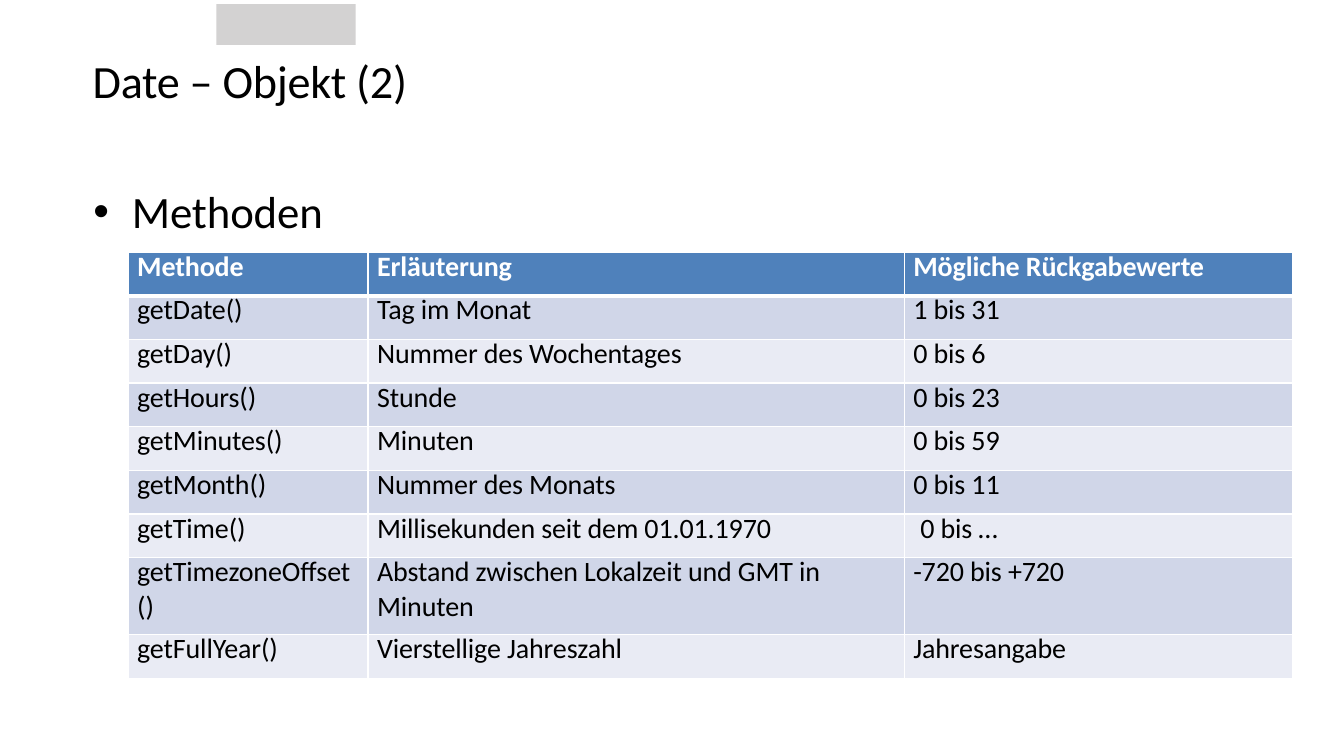
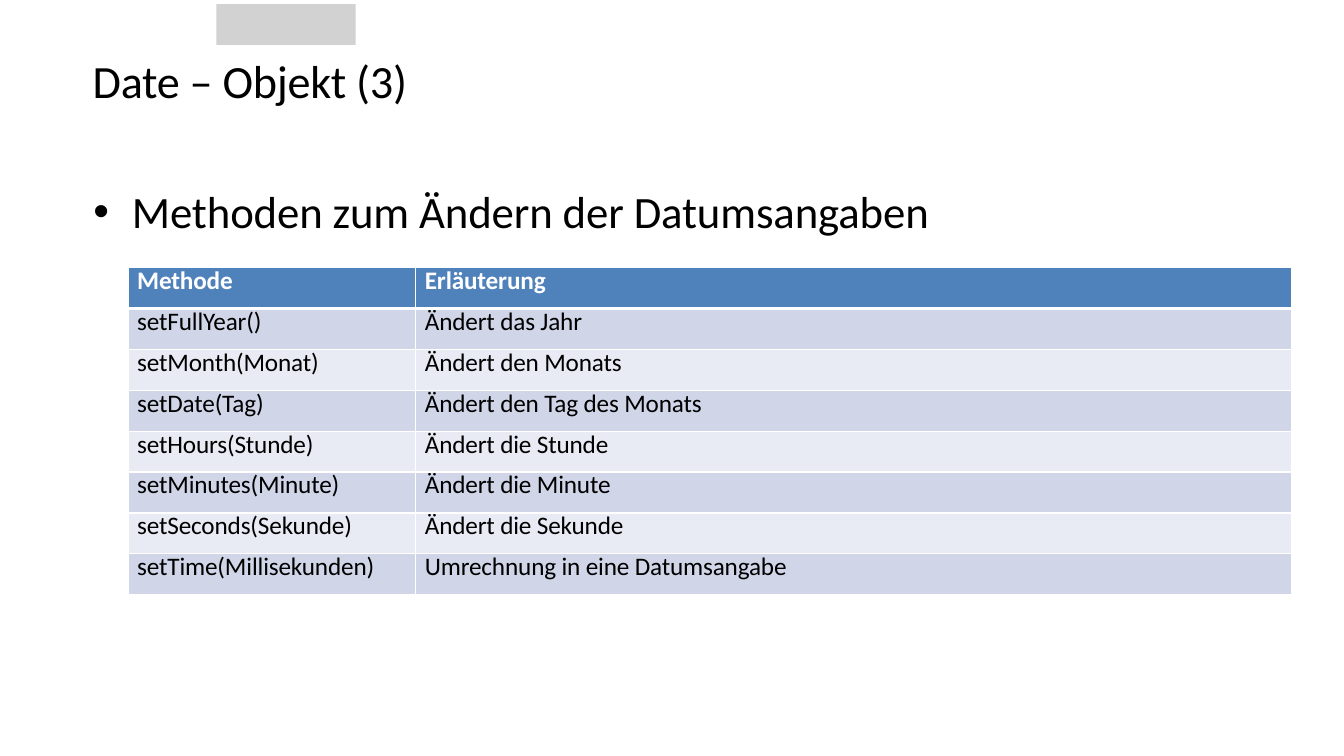
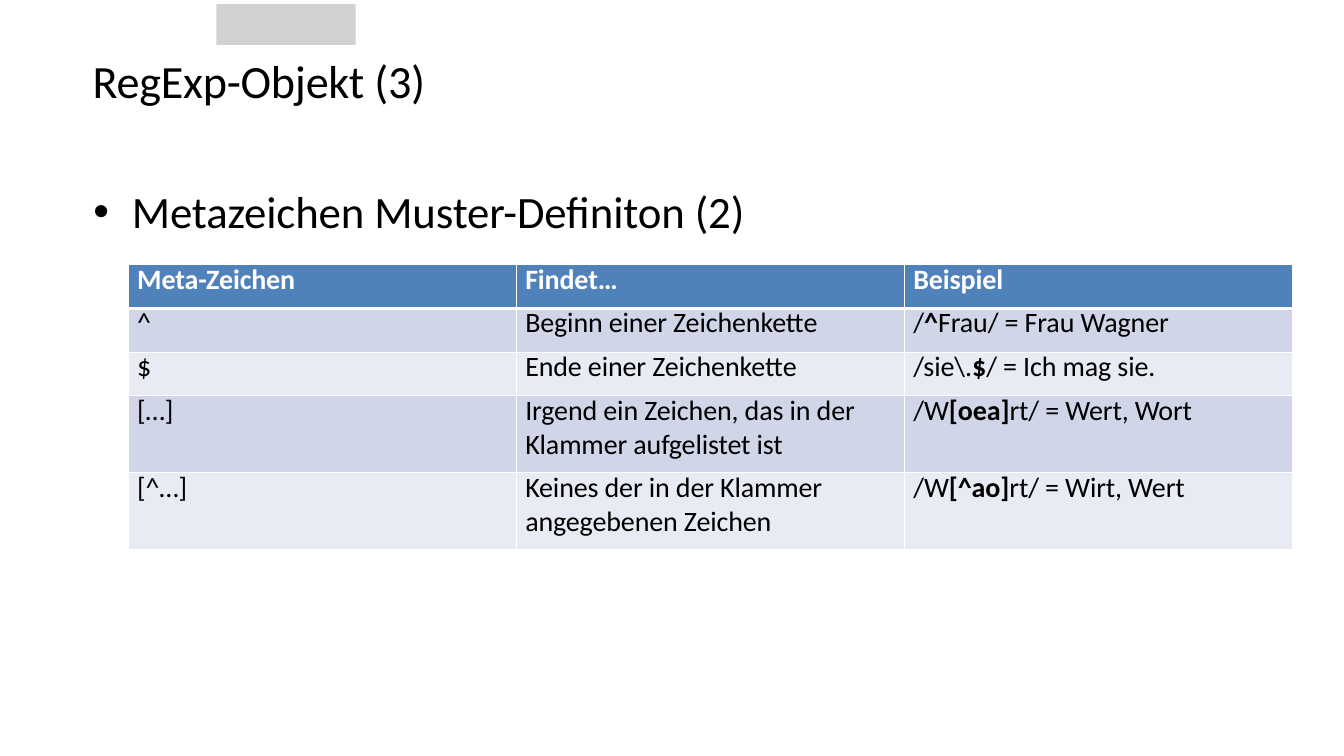
from pptx import Presentation
from pptx import util as u
from pptx.dml.color import RGBColor
from pptx.enum import shapes, text
from pptx.oxml.ns import qn
from lxml import etree

Pt = u.Pt
FONT = "Calibri"
COLORS = {
    "ink": "000000",
    "paper": "FFFFFF",
    "tab": "D3D2D2",
    "header": "4F81BB",
    "odd": "D0D6E8",
    "even": "E9EBF4",
}
LEFT = 66.2
TABLE_LEFT = 91.5
CELL_INDENT = 6.5
TITLE = {"size": 33, "color": "ink", "spacing": -0.2}
BULLET = {"size": 32, "color": "ink", "spacing": -0.1}


def rgb(name):
    return RGBColor.from_string(COLORS[name])


def apply(target, values):
    for name, value in values.items():
        setattr(target, name, value)


def write(para, content, size, color, spacing):
    """Add text to a paragraph; parts between asterisks become bold."""
    for index, part in enumerate(content.split("*")):
        if not part:
            continue
        span = para.add_run()
        span.text = part
        apply(span.font, {"name": FONT, "size": Pt(size), "bold": index % 2 == 1})
        span.font.color.rgb = rgb(color)
        span.font._element.set("spc", str(round(spacing * 100)))


def indent(para, left, first=0):
    properties = para._p.get_or_add_pPr()
    properties.set("marL", str(Pt(left)))
    properties.set("indent", str(Pt(first)))
    return properties


def add_tab(page):
    tab = page.shapes.add_shape(
        shapes.MSO_SHAPE.RECTANGLE, Pt(154.6), Pt(3), Pt(99.4), Pt(29))
    tab.shadow.inherit = False
    tab.fill.solid()
    tab.fill.fore_color.rgb = rgb("tab")
    tab.line.fill.background()


def add_line_of_text(page, content, top, width, height, style):
    box = page.shapes.add_textbox(Pt(LEFT), Pt(top), Pt(width), Pt(height))
    apply(box.text_frame, {
        "word_wrap": True,
        "auto_size": text.MSO_AUTO_SIZE.SHAPE_TO_FIT_TEXT,
        "margin_left": 0, "margin_right": 0,
        "margin_top": Pt(0.9), "margin_bottom": 0,
    })
    para = box.text_frame.paragraphs[0]
    para.space_before = Pt(1)
    write(para, content, **style)
    return para


def add_bullet(page, content, width):
    para = add_line_of_text(page, content, 130.3, width, 40.3, BULLET)
    properties = indent(para, 28, -27.4)
    etree.SubElement(properties, qn("a:buFont"), typeface="Arial")
    etree.SubElement(properties, qn("a:buChar"), char="•")


def add_page(deck, title, title_width, bullet, bullet_width):
    page = deck.slides.add_slide(deck.slide_layouts[6])
    add_tab(page)
    add_line_of_text(page, title, 36.7, title_width, 41.8, TITLE)
    add_bullet(page, bullet, bullet_width)
    return page


def set_borders(cell, **widths):
    properties = cell._tc.get_or_add_tcPr()
    for side in "LRTB":
        width = widths.get(side, 1)
        line = etree.SubElement(properties, qn("a:ln" + side), w=str(Pt(width)))
        fill = etree.SubElement(line, qn("a:solidFill"))
        etree.SubElement(fill, qn("a:srgbClr"), val=COLORS["paper"])


def fill_cell(cell, content, size, row, left):
    is_header = row == 0
    borders = {0: {"B": 3}, 1: {"T": 3}}.get(row, {})
    set_borders(cell, **borders)
    cell.fill.solid()
    cell.fill.fore_color.rgb = rgb("header" if is_header else ("even", "odd")[row % 2])
    apply(cell, {"margin_left": 0, "margin_right": 0,
                 "margin_top": 0, "margin_bottom": 0})
    frame = cell.text_frame
    for index, line in enumerate(content.split("\n")):
        para = frame.add_paragraph() if index else frame.paragraphs[0]
        if index == 0:
            para.line_spacing = Pt(round(size * 1.14, 1))
        indent(para, left)
        write(para, f"*{line}*" if is_header else line, size,
              "paper" if is_header else "ink", -0.1)


def add_grid(page, rows, widths, top, size=20, row_height=31.2, indents=None):
    """Add a banded table; indents maps (row, column) to a special left indent."""
    tall = 55
    heights = [tall if any("\n" in entry for entry in row) else row_height
               for row in rows]
    table = page.shapes.add_table(
        len(rows), len(widths), Pt(TABLE_LEFT), Pt(top),
        Pt(sum(widths)), Pt(sum(heights))).table
    apply(table, {"first_row": False, "horz_banding": False})
    for column, width in zip(table.columns, widths):
        column.width = Pt(width)
    for index, (row, height) in enumerate(zip(rows, heights)):
        table.rows[index].height = Pt(height)
        for position, content in enumerate(row):
            left = (indents or {}).get((index, position), CELL_INDENT)
            fill_cell(table.cell(index, position), content, size, index, left)


GETTERS = [
    ("Methode", "Erläuterung", "Mögliche Rückgabewerte"),
    ("getDate()", "Tag im Monat", "1 bis 31"),
    ("getDay()", "Nummer des Wochentages", "0 bis 6"),
    ("getHours()", "Stunde", "0 bis 23"),
    ("getMinutes()", "Minuten", "0 bis 59"),
    ("getMonth()", "Nummer des Monats", "0 bis 11"),
    ("getTime()", "Millisekunden seit dem 01.01.1970", "0 bis …"),
    ("getTimezoneOffset\n()", "Abstand zwischen Lokalzeit und GMT in\nMinuten",
     "-720 bis +720"),
    ("getFullYear()", "Vierstellige Jahreszahl", "Jahresangabe"),
]
SETTERS = [
    ("Methode", "Erläuterung"),
    ("setFullYear()", "Ändert das Jahr"),
    ("setMonth(Monat)", "Ändert den Monats"),
    ("setDate(Tag)", "Ändert den Tag des Monats"),
    ("setHours(Stunde)", "Ändert die Stunde"),
    ("setMinutes(Minute)", "Ändert die Minute"),
    ("setSeconds(Sekunde)", "Ändert die Sekunde"),
    ("setTime(Millisekunden)", "Umrechnung in eine Datumsangabe"),
]
META_CHARACTERS = [
    ("Meta-Zeichen", "Findet…", "Beispiel"),
    ("^", "Beginn einer Zeichenkette", "/*^*Frau/ = Frau Wagner"),
    ("$", "Ende einer Zeichenkette", r"/sie\.*$*/ = Ich mag sie."),
    ("[…]", "Irgend ein Zeichen, das in der\nKlammer aufgelistet ist",
     "/W*[oea]*rt/ = Wert, Wort"),
    ("[^…]", "Keines der in der Klammer\nangegebenen Zeichen",
     "/W*[^ao]*rt/ = Wirt, Wert"),
]


def main():
    deck = Presentation()
    apply(deck, {"slide_width": Pt(960), "slide_height": Pt(540)})

    page = add_page(deck, "Date – Objekt (2)", 227.5, "Methoden", 166.3)
    add_grid(page, GETTERS, [171.4, 383, 277.2], 180, indents={(6, 2): 11.5})

    page = add_page(deck, "Date – Objekt (3)", 227.5,
                    "Methoden zum Ändern der Datumsangaben", 602)
    add_grid(page, SETTERS, [205.5, 625.5], 191.2, size=18, row_height=29.2)

    page = add_page(deck, "RegExp-Objekt (3)", 240.5,
                    "Metazeichen Muster-Definiton (2)", 467.3)
    add_grid(page, META_CHARACTERS, [277.2] * 3, 189.2)

    deck.save("out.pptx")


if __name__ == "__main__":
    main()
